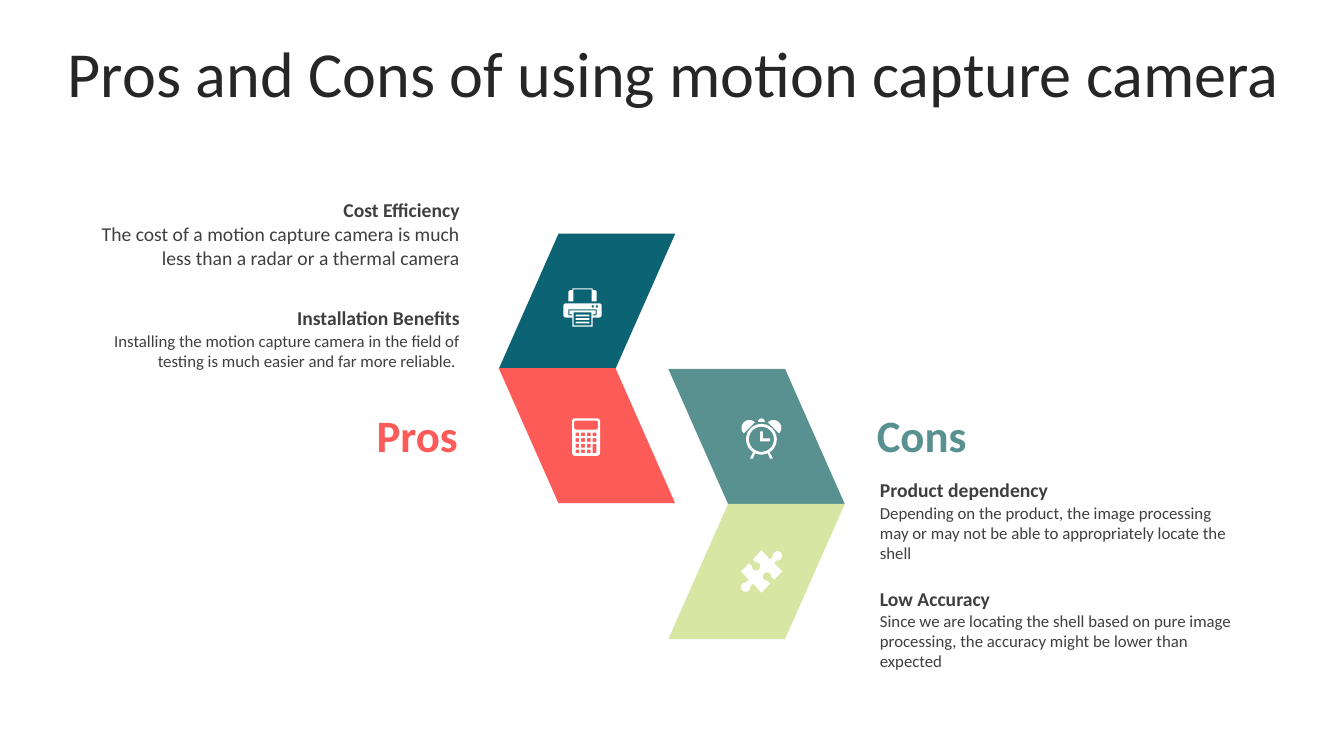
import math

from pptx import Presentation
from pptx.dml.color import RGBColor
from pptx.enum import shapes as kinds, text as txt
from pptx.util import Pt

COLORS = {
    "title": "262626", "body": "3F3F3F", "white": "FFFFFF",
    "teal": "0B6374", "coral": "FD5B58", "sage": "599191", "lime": "D7E6A3",
}
LEFT, RIGHT, CENTER = (txt.PP_ALIGN.LEFT, txt.PP_ALIGN.RIGHT, txt.PP_ALIGN.CENTER)
TOP, MIDDLE = txt.MSO_ANCHOR.TOP, txt.MSO_ANCHOR.MIDDLE
ENTRY_PITCH = 77.5
TILE_W, TILE_H = 126, 96.5

PROS = [
    ("Cost Efficiency",
     "The cost of a motion capture camera is much less than a radar or a thermal camera", 14),
    ("Installation Benefits",
     "Installing the motion capture camera in the field of testing is much easier "
     "and far more reliable. ", 12),
]
CONS = [
    ("Product dependency",
     "Depending on the product, the image processing may or may not be able to "
     "appropriately locate the shell", 12),
    ("Low Accuracy",
     "Since we are locating the shell based on pure image processing, the accuracy "
     "might be lower than expected", 12),
]


def apply(target, **values):
    for name, value in values.items():
        setattr(target, name, value)


def paint(shape, color):
    shape.fill.solid()
    shape.fill.fore_color.rgb = RGBColor.from_string(COLORS[color])
    shape.line.fill.background()
    shape.shadow.inherit = False


def add_text(slide, box, words, size, color="body", bold=False, align=LEFT,
             anchor=MIDDLE, **spacing):
    frame = slide.shapes.add_textbox(*map(Pt, box)).text_frame
    apply(frame, word_wrap=True, vertical_anchor=anchor)
    paragraph = frame.paragraphs[0]
    apply(paragraph, alignment=align, **spacing)
    run = paragraph.add_run()
    run.text = words
    apply(run.font, name="Calibri", size=Pt(size), bold=bold)
    run.font.color.rgb = RGBColor.from_string(COLORS[color])


# Outlines: lists of points, in points

def rect(x, y, w, h):
    return [(x, y), (x + w, y), (x + w, y + h), (x, y + h)]


def arc(cx, cy, r, start=0, end=360, steps=24):
    angles = [math.radians(start + (end - start) * i / steps) for i in range(steps + 1)]
    return [(cx + r * math.cos(a), cy + r * math.sin(a)) for a in angles]


def round_rect(x, y, w, h, r):
    corners = [(x + w - r, y + r, -90), (x + w - r, y + h - r, 0),
               (x + r, y + h - r, 90), (x + r, y + r, 180)]
    return [p for cx, cy, a in corners for p in arc(cx, cy, r, a, a + 90, 6)]


def mirror(outline, width):
    return [(width - x, y) for x, y in reversed(outline)]


def symmetric(half, width):
    return half + mirror(half, width)


def add_icon(slide, x, y, outlines):
    """Draw the outlines as one white shape; inner outlines become holes."""
    placed = [[(Pt(x + px), Pt(y + py)) for px, py in outline] for outline in outlines]
    builder = slide.shapes.build_freeform(*placed[0][0], scale=1.0)
    builder.add_line_segments(placed[0][1:], close=True)
    for outline in placed[1:]:
        builder.move_to(*outline[0])
        builder.add_line_segments(outline[1:], close=True)
    paint(builder.convert_to_shape(), "white")


def printer():
    w = 27.4
    feed = [(7.2, 0.8), (7.2, 9.4), (3.6, 9.4), (3.6, 2.4), (4.6, 1.4), (6.5, 1.4), (6.5, 0)]
    body = [(6.5, 27.4), (6.5, 20.9)] + arc(1.8, 19.1, 1.8, 90, 180, 6) \
        + arc(1.8, 12.6, 1.8, 180, 270, 6)
    slot = [(4.3, 15.8), (4.3, 18.7), (6.5, 18.7), (6.5, 19.4), (3.6, 19.4), (3.6, 15.1)]
    lines = [rect(8.8, y, 9.8, 1.2) for y in (18.9, 21.4, 23.9)]
    lamps = [arc(x, 13, 0.9) for x in (21, 24)]
    return [symmetric(half, w) for half in (feed, body, slot)] \
        + [rect(7.4, 17.3, 12.6, 9.3)] + lines + lamps


def calculator():
    keys = [rect(2.5 + 4.1 * col, 10.2 + 4.05 * row, 2.6, 6.6 if (col, row) == (3, 2) else 2.6)
            for row in range(4) for col in range(4) if (col, row) != (3, 3)]
    return [round_rect(0, 0, 20, 26.8, 2.2), round_rect(1.6, 1.6, 16.8, 6.4, 1)] + keys


def clock():
    w = 28
    bell = arc(5.4, 6.85, 5.6, -45, -225)
    leg = [(9.4, 25.2), (7.9, 28.8), (5.8, 28.8), (7.9, 24.5)]
    hands = [(13, 9.4), (15.1, 9.4), (15.1, 14.4), (20.2, 14.4), (20.2, 16.6), (13, 16.6)]
    knob = arc(14, 2.5, 2.4, 180, 360)
    return [arc(14, 15, 11), arc(14, 15, 9), hands, knob,
            bell, mirror(bell, w), leg, mirror(leg, w)]


def puzzle():
    half = [(0, -15.1), (6.1, -8.6)] + arc(11.4, -11.2, 3.3, -185, 95) \
        + [(9, -5.8), (14.8, 0), (9, 5.8)] + arc(3.9, 3.6, 3, 5, -275) + [(6.1, 8.6)]
    return [half + [(-x, -y) for x, y in half]]


def add_tile(slide, x, y, color, flipped, icon, dx, dy):
    tile = slide.shapes.add_shape(kinds.MSO_SHAPE.PARALLELOGRAM,
                                  *map(Pt, (x, y, TILE_W, TILE_H)))
    tile.adjustments[0] = 0.442
    if flipped:
        tile._element.spPr.xfrm.set("flipH", "1")
    paint(tile, color)
    add_icon(slide, x + dx, y + dy, icon)


def add_entries(slide, x, y, width, entries, align):
    for i, (heading, detail, size) in enumerate(entries):
        top = y + i * ENTRY_PITCH
        add_text(slide, (x, top, width, 24.5), heading, 14, bold=True, align=align)
        add_text(slide, (x, top + 17.6, width, 51), detail, size, align=align, anchor=TOP)


def add_pros(slide, x, y, width):
    add_entries(slide, x, y, width, PROS, RIGHT)
    add_text(slide, (x, y + 149.8, width - 1.4, 46), "Pros", 32, "coral", True, RIGHT)
    tile_x, tile_y = x + 298, y + 29.5
    add_tile(slide, tile_x, tile_y, "teal", False, printer(), 46.1, 38.9)
    add_tile(slide, tile_x, tile_y + 96, "coral", True, calculator(), 52.3, 35.8)


def add_cons(slide, x, y, width):
    add_text(slide, (x - 2.2, y - 50.4, 223, 46), "Cons", 32, "sage", True)
    add_entries(slide, x, y, width, CONS, LEFT)
    tile_x, tile_y = x - 144, y - 74.2
    add_tile(slide, tile_x, tile_y, "sage", True, clock(), 52.5, 35.3)
    add_tile(slide, tile_x, tile_y + TILE_H, "lime", False, puzzle(), 66.6, 48.2)


def main():
    deck = Presentation()
    apply(deck, slide_width=Pt(960), slide_height=Pt(540))
    slide = deck.slides.add_slide(deck.slide_layouts[6])
    add_text(slide, (25.2, 26.6, 911.5, 57), "Pros and Cons of using motion capture camera",
             45.9, "title", align=CENTER, line_spacing=0.9, space_after=Pt(16))
    add_pros(slide, 58.3, 137.5, 277.2)
    add_cons(slide, 621.4, 337.7, 272.2)
    deck.save("out.pptx")


if __name__ == "__main__":
    main()
